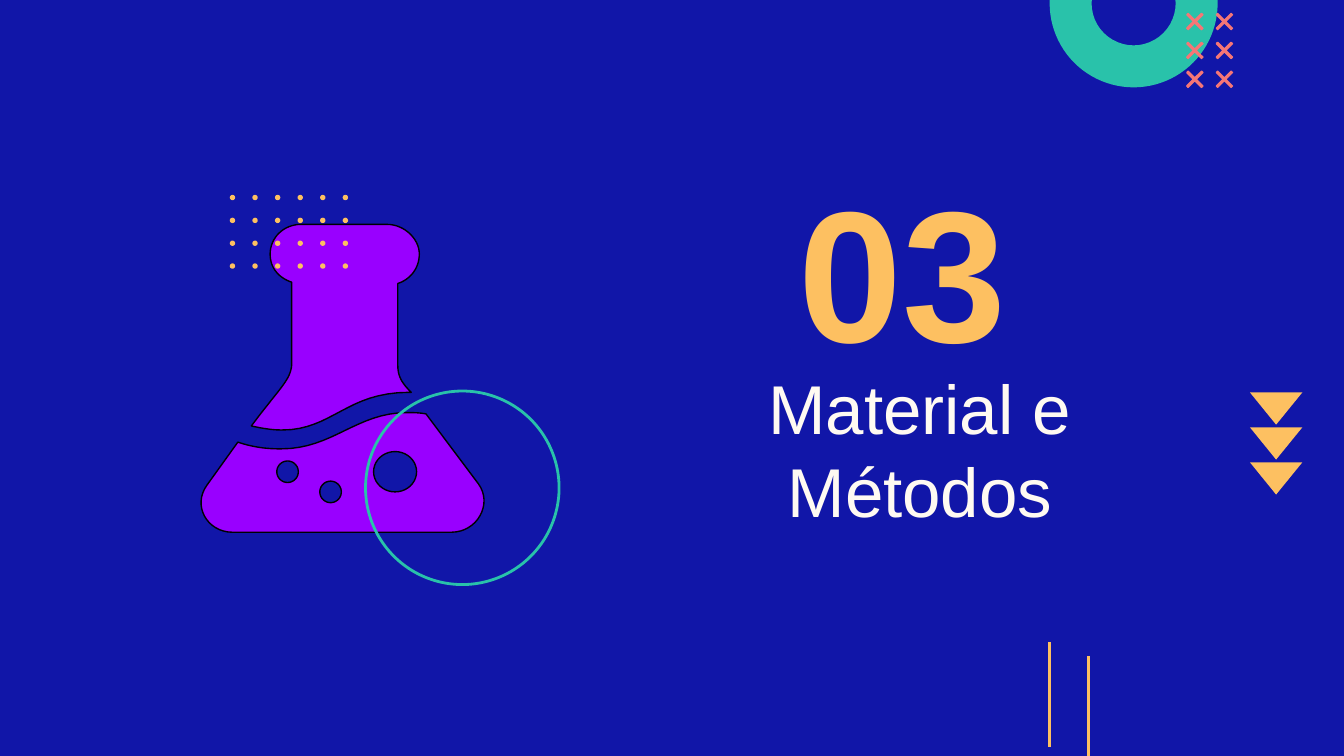
import itertools
import math

import pptx
import pptx.dml.color
import pptx.enum.shapes
import pptx.enum.text
import pptx.oxml
import pptx.util

Inches = pptx.util.Inches
Pt = pptx.util.Pt
KIND = pptx.enum.shapes.MSO_SHAPE
ALIGN = pptx.enum.text.PP_ALIGN

HUES = {
    "back": "1116A8",
    "teal": "29C2AA",
    "coral": "F57676",
    "gold": "FDC061",
    "violet": "9900FF",
    "cream": "FFFAF2",
    "black": "000000",
}

# A pair is a straight step; a triple of pairs is a Bézier curve.
BASE = [
    (3.03, 3.07),
    ((2.65, 3.07), (2.48, 3.34), (2.09, 3.34)),
    ((1.99, 3.34), (1.89, 3.33), (1.77, 3.29)),
    (1.54, 3.61),
    ((1.43, 3.76), (1.54, 3.96), (1.73, 3.96)),
    (3.36, 3.96),
    ((3.55, 3.96), (3.67, 3.75), (3.56, 3.6)),
    (3.17, 3.08),
    ((3.12, 3.07), (3.07, 3.07), (3.03, 3.07)),
]
NECK = [
    (2.24, 1.67),
    ((2.11, 1.67), (2.01, 1.77), (2.01, 1.89)),
    ((2.01, 2), (2.08, 2.07), (2.17, 2.1)),
    (2.17, 2.72),
    ((2.16, 2.83), (2.08, 2.89), (1.87, 3.17)),
    ((1.96, 3.19), (2.03, 3.2), (2.1, 3.2)),
    ((2.47, 3.2), (2.58, 2.92), (3.04, 2.92)),
    (3.06, 2.92),
    ((3, 2.86), (2.96, 2.81), (2.96, 2.72)),
    (2.96, 2.11),
    ((3.05, 2.08), (3.12, 2), (3.12, 1.89)),
    ((3.12, 1.78), (3.01, 1.67), (2.88, 1.67)),
]
BUBBLES = [(2.14, 3.51, 0.08, 0.08), (2.94, 3.51, 0.16, 0.15), (2.46, 3.66, 0.08, 0.08)]


def trace(steps, count=16):
    """Turn straight and Bézier steps into a list of points."""
    points = []
    for step in steps:
        if len(step) == 2:
            points.append(step)
            continue
        knots = [points[-1], *step]
        for i in range(1, count + 1):
            t = i / count
            mix = [(1 - t) ** 3, 3 * t * (1 - t) ** 2, 3 * t * t * (1 - t), t ** 3]
            points.append(tuple(sum(m * k[a] for m, k in zip(mix, knots)) for a in (0, 1)))
    return points


def ring(x, y, wide, high, count=40):
    """Points of an ellipse, given its centre and radii."""
    turns = [2 * math.pi * i / count for i in range(count)]
    return [(x + wide * math.cos(a), y + high * math.sin(a)) for a in turns]


def cross(x, y):
    """Points of a thin diagonal cross, one arm per quarter turn."""
    arm = [(0.05, 0.06), (0.06, 0.05), (0.01, 0)]
    points = []
    for _ in range(4):
        points += [(x + dx, y + dy) for dx, dy in arm]
        arm = [(dy, -dx) for dx, dy in arm]
    return points


class Deck:
    def __init__(self):
        self.file = pptx.Presentation()
        self.file.slide_width = Inches(10)
        self.file.slide_height = Inches(10 * 9 / 16)
        self.slide = self.file.slides.add_slide(self.file.slide_layouts[0])
        self.shapes = self.slide.shapes
        self.tint(self.slide.background.fill, "back")

    def tint(self, fill, hue):
        fill.solid()
        fill.fore_color.rgb = pptx.dml.color.RGBColor.from_string(HUES[hue])

    def paint(self, shape, fill=None, line=None, width=0.75):
        shape.shadow.inherit = False
        for part, hue in ((shape.fill, fill), (shape.line.fill, line)):
            if hue:
                self.tint(part, hue)
            else:
                part.background()
        if line:
            shape.line.width = Pt(width)

    def shape(self, kind, box, **look):
        item = self.shapes.add_shape(kind, *map(Inches, box))
        self.paint(item, **look)
        return item

    def outline(self, *loops, **look):
        pen = None
        for loop in loops:
            spots = [(Inches(x), Inches(y)) for x, y in loop]
            if pen is None:
                pen = self.shapes.build_freeform(*spots[0])
            else:
                pen.move_to(*spots[0])
            pen.add_line_segments(spots[1:], close=True)
        self.paint(pen.convert_to_shape(), **look)

    def line(self, x, top, end, hue):
        item = self.shapes.add_connector(
            pptx.enum.shapes.MSO_CONNECTOR.STRAIGHT, *map(Inches, (x, top, x, end)))
        self.tint(item.line.fill, hue)
        item.line.width = Pt(1.5)
        item._element.spPr.append(pptx.oxml.parse_xml(
            '<a:effectLst xmlns:a="http://schemas.openxmlformats.org/drawingml/2006/main"/>'))

    def text(self, holder, words, box, align, hue, size, bold=False):
        for name, value in zip(("left", "top", "width", "height"), box):
            setattr(holder, name, Inches(value))
        frame = holder.text_frame
        frame.text = words
        look = {
            "word_wrap": True,
            "auto_size": pptx.enum.text.MSO_AUTO_SIZE.NONE,
            "vertical_anchor": pptx.enum.text.MSO_ANCHOR.MIDDLE,
        }
        for side in ("left", "top", "right", "bottom"):
            look["margin_" + side] = Inches(0.1)
        for name, value in look.items():
            setattr(frame, name, value)
        line = frame.paragraphs[0]
        for name, value in {"alignment": align, "space_before": Pt(0)}.items():
            setattr(line, name, value)
        font = line.runs[0].font
        for name, value in {"name": "Arial", "size": Pt(size), "bold": bold}.items():
            setattr(font, name, value)
        self.tint(font.fill, hue)


def main():
    deck = Deck()
    title, number = deck.slide.placeholders
    deck.text(title, "Material e Métodos", (5.09, 3.04, 3.51, 0.59),
              ALIGN.CENTER, "cream", 37)
    deck.text(number, "03", (5.84, 1.34, 3.16, 1.31), ALIGN.LEFT, "gold", 100, True)

    donut = deck.shape(KIND.DONUT, (7.81, -0.6, 1.25, 1.25), fill="teal")
    donut.adjustments[0] = 0.25
    for col, row in itertools.product(range(2), range(3)):
        deck.outline(cross(8.89 + 0.22 * col, 0.16 + 0.43 * row / 2),
                     fill="coral", line="coral")
    for row in range(3):
        deck.shape(KIND.FLOWCHART_MERGE, (9.3, 2.92 + 0.26 * row, 0.39, 0.24), fill="gold")
    deck.line(8.1, 4.88, 5.66, "gold")
    deck.line(7.81, 4.78, 5.56, "gold")

    bubbles = [ring(*bubble) for bubble in BUBBLES]
    deck.outline(trace(BASE), *bubbles, fill="violet", line="black")
    deck.outline(trace(NECK), fill="violet", line="black")
    for col, row in itertools.product(range(6), range(4)):
        box = (1.71 + 0.84 * col / 5, 1.45 + 0.17 * row, 0.04, 0.04)
        deck.shape(KIND.OVAL, box, fill="gold")
    deck.shape(KIND.OVAL, (2.72, 2.91, 1.44, 1.44), line="teal", width=1.5)

    deck.file.save("out.pptx")


if __name__ == "__main__":
    main()
